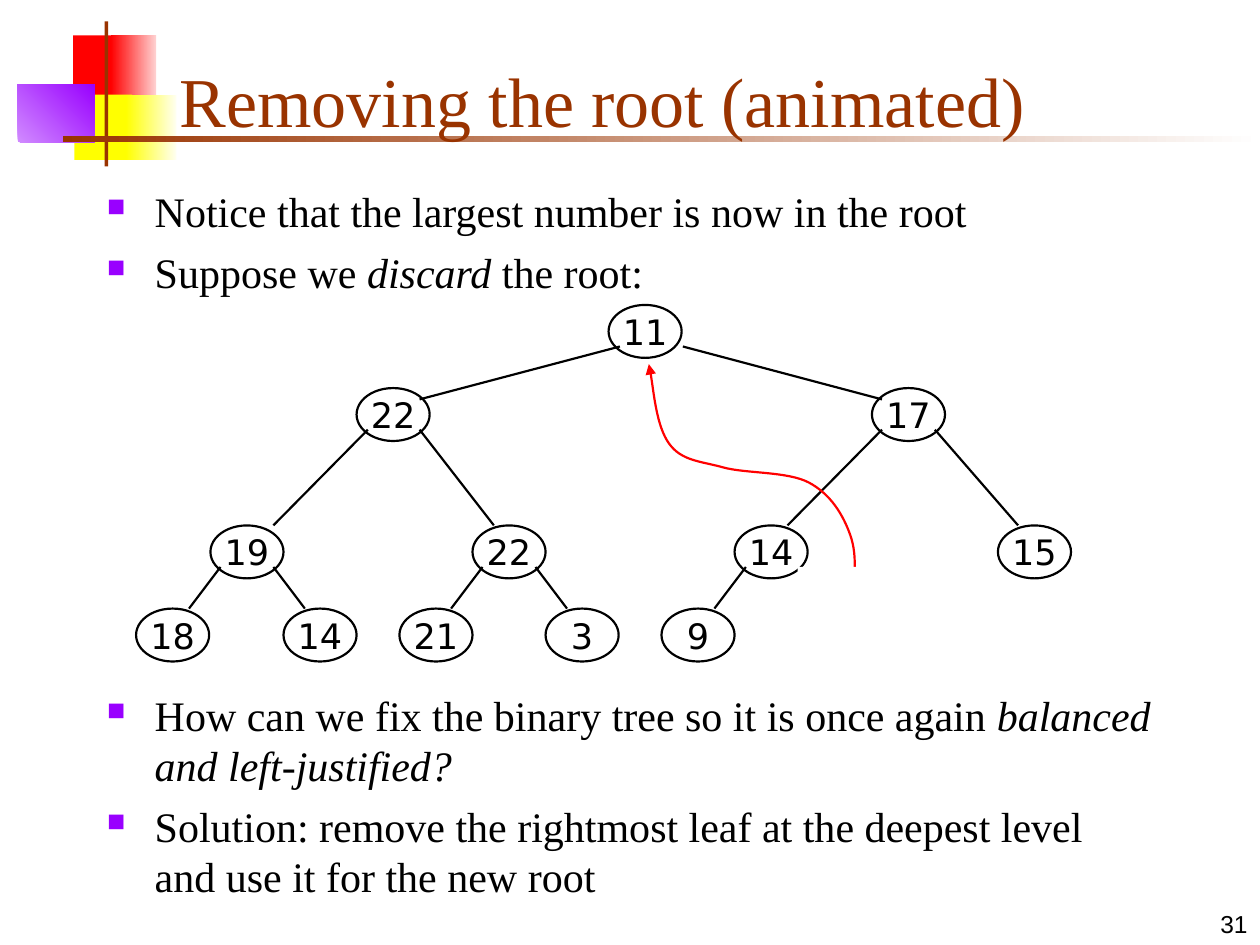
"""Build the slide on removing the root of a heap."""
from dataclasses import dataclass

from lxml.etree import SubElement
from pptx import Presentation
from pptx.dml.color import RGBColor
from pptx.enum.shapes import MSO_CONNECTOR, MSO_SHAPE
from pptx.enum.text import MSO_ANCHOR, PP_ALIGN
from pptx.oxml.ns import qn
from pptx.util import Inches, Pt


@dataclass(frozen=True)
class Theme:
    """Hold the colours, fonts and type sizes."""
    black: str = "000000"
    white: str = "FFFFFF"
    brown: str = "993300"
    red: str = "FF0000"
    pink: str = "FFD1D1"
    yellow: str = "FFFF00"
    cream: str = "FFFFF0"
    purple: str = "9900FF"
    lilac: str = "D18BFF"
    serif: str = "Times New Roman"
    sans: str = "Arial"
    label: str = "DejaVu Sans"
    title: int = 40
    body: int = 24
    node: int = 20
    page: int = 14
    line: float = 1.25


THEME = Theme()
NODE_SIZE = (0.58, 0.42)
LEVELS = (2.42, 3.08, 4.17, 4.83)

# Heap order: value, left edge, then link start, link end and its drop.
HEAP = [
    ("11", 4.83, None),
    ("22", 2.83, (0.09, 0.5, 0.09)), ("17", 6.92, (0.59, 0.08, 0.09)),
    ("19", 1.67, (0.09, 0.5, 0)), ("22", 3.75, (0.5, 0.17, 0)),
    ("14", 5.83, (0.08, 0.42, 0)), ("15", 7.92, (0.5, 0.16, 0)),
    ("18", 1.08, (0.08, 0.42, 0)), ("14", 2.25, (0.5, 0.17, 0)),
    ("21", 3.17, (0.08, 0.41, 0)), ("3", 4.33, (0.5, 0.17, 0)),
    ("9", 5.25, (0.09, 0.42, 0)),
]
CURVE = [
    (6.75, 4.83),
    (6.78, 4.63), (6.81, 4.42), (6.75, 4.25),
    (6.69, 4.08), (6.59, 3.92), (6.42, 3.83),
    (6.25, 3.74), (5.92, 3.76), (5.74, 3.71),
    (5.56, 3.66), (5.41, 3.66), (5.31, 3.52),
    (5.21, 3.38), (5.18, 3.02), (5.15, 2.89),
]
BLOCKS = [
    ((0.58, 0.28, 0.35, 0.52), (THEME.red,), 0),
    ((0.88, 0.28, 0.36, 0.52), (THEME.red, THEME.pink), 0),
    ((0.59, 0.75, 0.46, 0.52), (THEME.yellow,), 0),
    ((1, 0.75, 0.4, 0.52), (THEME.yellow, THEME.cream), 0),
    ((0.14, 0.67, 0.61, 0.46), (THEME.lilac, THEME.purple), 45),
    ((0.83, 0.17, 0.03, 1.15), (THEME.brown,), 0),
    ((0.5, 1.08, 9.5, 0.05), (THEME.brown, THEME.white), 0),
]
INTRO = [
    [("Notice that the largest number is now in the root", False)],
    [("Suppose we ", False), ("discard", True), (" the root:", False)],
]
CLOSE = [
    [("How can we fix the binary tree so it is once again ", False),
     ("balanced and left-justified?", True)],
    [("Solution: remove the rightmost leaf at the deepest level "
      "and use it for the new root", False)],
]


def rgb(code):
    """Turn a hex code into a colour."""
    return RGBColor.from_string(code)


def write(para, text, *, font=THEME.serif, size=THEME.body,
          color=THEME.black, slant=False, align=None):
    """Add one run of text with its format."""
    if align is not None:
        para.alignment = align
    run = para.add_run()
    run.text = text
    run.font.name = font
    run.font.size = Pt(size)
    run.font.italic = slant
    run.font.color.rgb = rgb(color)


def add_box(slide, place, anchor=MSO_ANCHOR.TOP):
    """Add a text box that wraps and return its frame."""
    frame = slide.shapes.add_textbox(*map(Inches, place)).text_frame
    frame.word_wrap = True
    frame.vertical_anchor = anchor
    return frame


def add_block(slide, place, colors, angle=0):
    """Add a block with a flat or graded fill."""
    block = slide.shapes.add_shape(MSO_SHAPE.RECTANGLE, *map(Inches, place))
    block.shadow.inherit = False
    block.line.fill.background()
    if len(colors) == 1:
        block.fill.solid()
        block.fill.fore_color.rgb = rgb(colors[0])
        return
    block.fill.gradient()
    block.fill.gradient_angle = angle
    for stop, color, point in zip(block.fill.gradient_stops, colors, (0, 1)):
        stop.color.rgb = rgb(color)
        stop.position = point


def add_bullet(para):
    """Give a paragraph its square mark and hanging indent."""
    props = para._p.get_or_add_pPr()
    props.set("marL", str(Inches(0.38)))
    props.set("indent", str(-Inches(0.38)))
    color = SubElement(props, qn("a:buClr"))
    SubElement(color, qn("a:srgbClr"), val=THEME.purple)
    SubElement(props, qn("a:buSzPct"), val="60000")
    SubElement(props, qn("a:buChar"), char="■")


def add_list(slide, place, items):
    """Add a list of marked items."""
    frame = add_box(slide, place)
    for index, runs in enumerate(items):
        para = frame.add_paragraph() if index else frame.paragraphs[0]
        add_bullet(para)
        if index:
            para.space_before = Pt(6)
        for text, slant in runs:
            write(para, text, slant=slant)


def add_node(slide, text, left, top):
    """Add one ringed value of the tree."""
    node = slide.shapes.add_shape(
        MSO_SHAPE.OVAL, *map(Inches, (left, top, *NODE_SIZE)))
    node.shadow.inherit = False
    node.fill.background()
    node.line.color.rgb = rgb(THEME.black)
    node.line.width = Pt(THEME.line)
    frame = node.text_frame
    frame.word_wrap = False
    frame.vertical_anchor = MSO_ANCHOR.MIDDLE
    write(frame.paragraphs[0], text, font=THEME.label, size=THEME.node,
          align=PP_ALIGN.CENTER)


def add_link(slide, start, end):
    """Add a straight line from a parent to a child."""
    link = slide.shapes.add_connector(
        MSO_CONNECTOR.STRAIGHT, *map(Inches, (*start, *end)))
    link.line.color.rgb = rgb(THEME.black)
    link.line.width = Pt(THEME.line)
    SubElement(link._element.spPr, qn("a:effectLst"))


def add_tree(slide):
    """Draw the heap, each child linked to its parent."""
    for index, (text, left, link) in enumerate(HEAP):
        top = LEVELS[(index + 1).bit_length() - 1]
        add_node(slide, text, left, top)
        if link:
            above = (index - 1) // 2
            base = LEVELS[(above + 1).bit_length() - 1]
            start, end, drop = link
            add_link(slide, (HEAP[above][1] + start, base + 0.33),
                     (left + end, top + drop))


def add_curve(slide, points):
    """Draw a smooth red arrow through sets of three points."""
    spots = [(Inches(x), Inches(y)) for x, y in points]
    pen = slide.shapes.build_freeform(*spots[0])
    pen.add_line_segments(spots[1:], close=False)
    curve = pen.convert_to_shape()
    curve.shadow.inherit = False
    curve.fill.background()
    curve.line.color.rgb = rgb(THEME.red)
    curve.line.width = Pt(THEME.line)
    SubElement(curve.line._get_or_add_ln(), qn("a:tailEnd"), type="triangle")
    steps = list(curve._element.iter(qn("a:lnTo")))
    track = steps[0].getparent()
    for index in range(0, len(steps), 3):
        bend = SubElement(track, qn("a:cubicBezTo"))
        for step in steps[index:index + 3]:
            bend.append(step[0])
            track.remove(step)


def main():
    """Build and save the slide."""
    deck = Presentation()
    deck.slide_width, deck.slide_height = Inches(10), Inches(7.5)
    slide = deck.slides.add_slide(deck.slide_layouts[6])
    for place, colors, angle in BLOCKS:
        add_block(slide, place, colors, angle)
    page = add_box(slide, (7.92, 7, 2.08, 0.5), MSO_ANCHOR.BOTTOM)
    write(page.paragraphs[0], "31", font=THEME.sans, size=THEME.page,
          align=PP_ALIGN.RIGHT)
    title = add_box(slide, (1.33, 0.25, 8.52, 0.92), MSO_ANCHOR.BOTTOM)
    write(title.paragraphs[0], "Removing the root (animated)",
          size=THEME.title, color=THEME.brown)
    add_list(slide, (0.75, 1.42, 8.5, 1.08), INTRO)
    add_list(slide, (0.75, 5.42, 8.5, 1.83), CLOSE)
    add_tree(slide)
    add_curve(slide, CURVE)
    add_block(slide, (6.33, 4.5, 0.83, 0.83), (THEME.white,))
    deck.save("out.pptx")


if __name__ == "__main__":
    main()
